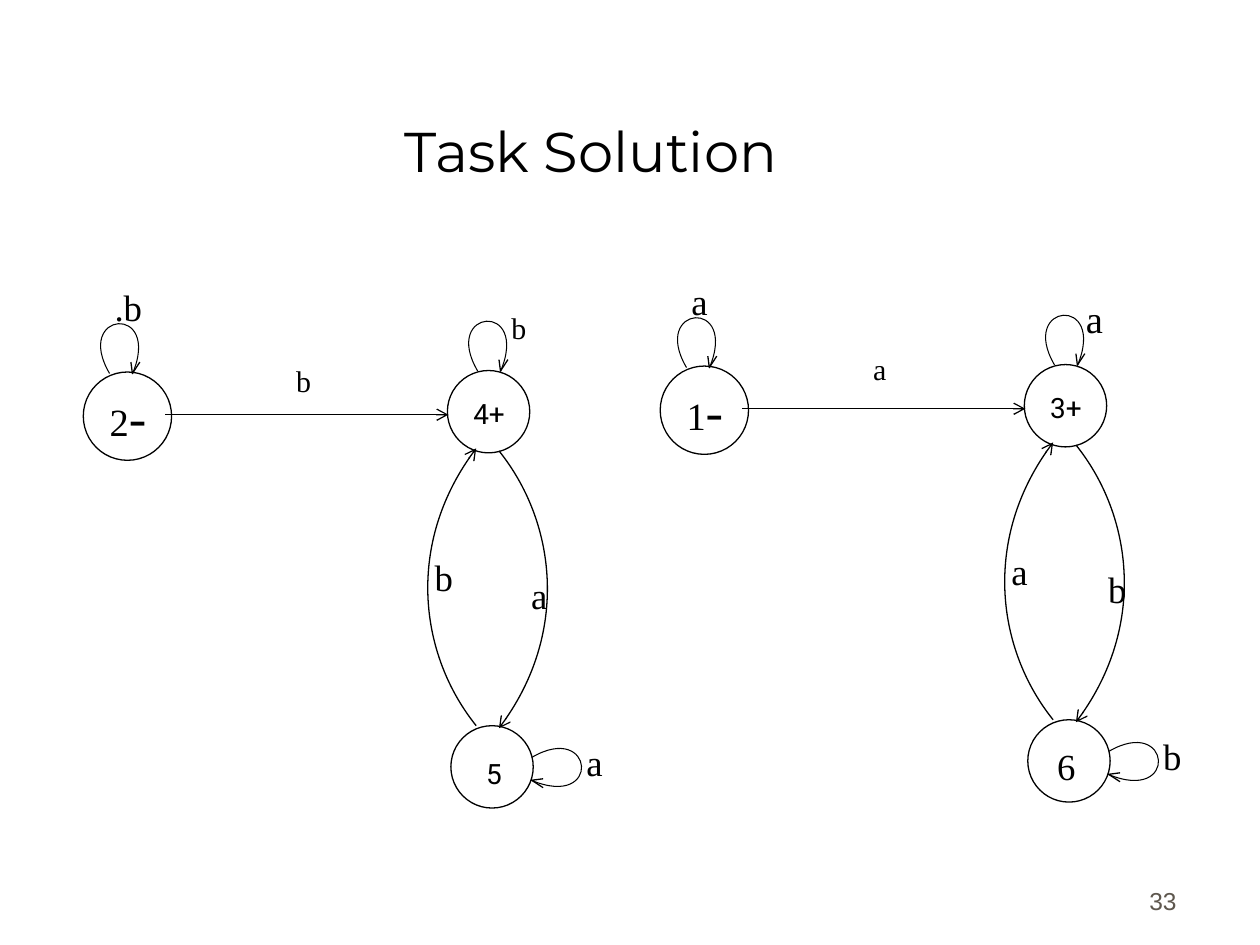
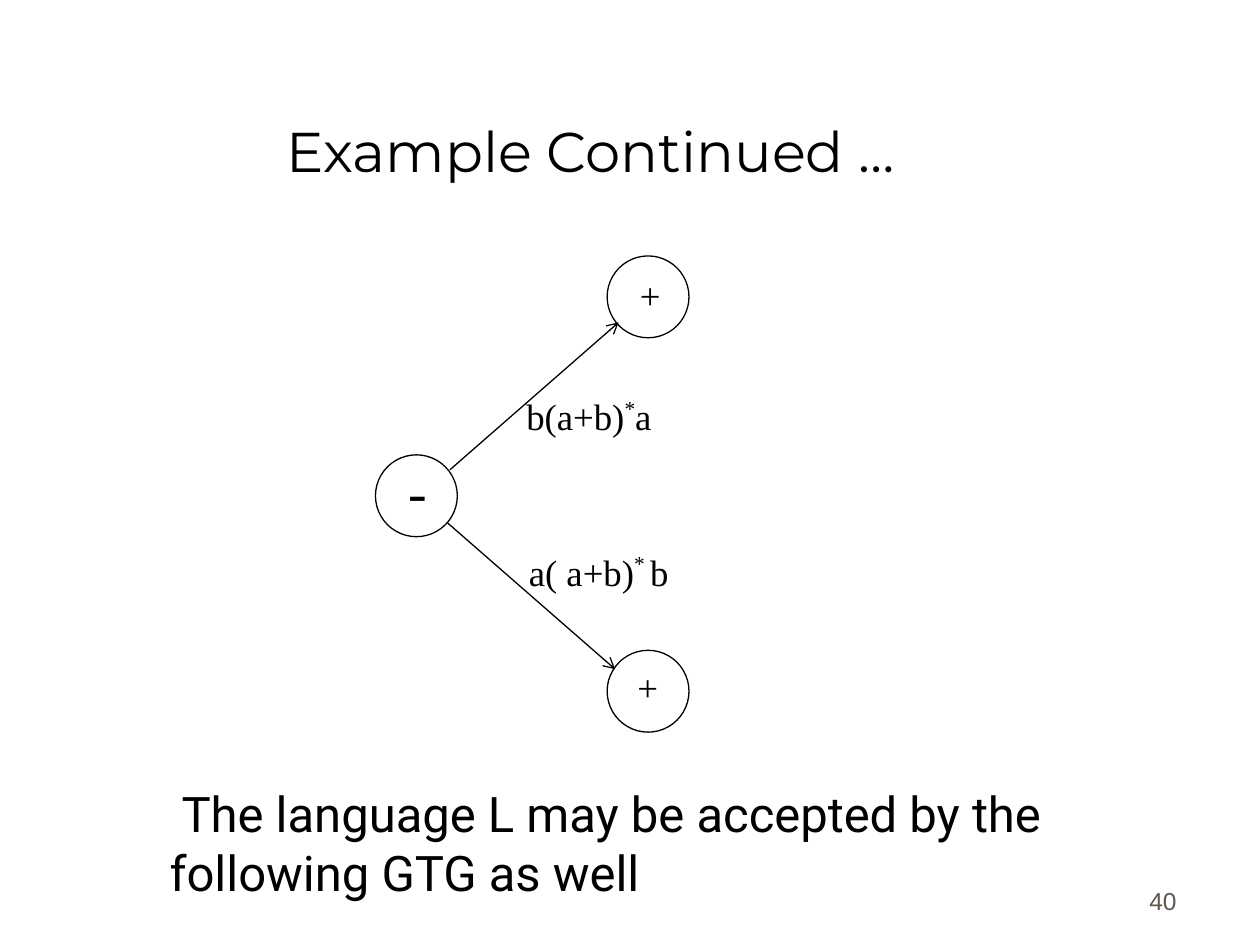
from lxml.etree import SubElement
from pptx import Presentation
from pptx.dml.color import RGBColor
from pptx.enum.shapes import MSO_CONNECTOR, MSO_SHAPE
from pptx.enum.text import MSO_ANCHOR as Anchor, PP_ALIGN as Align
from pptx.oxml.ns import qn
from pptx.util import Cm, Pt

BLACK, WHITE, GREY = "000000", "FFFFFF", "5E574E"
SERIF, SANS, TITLE_FONT, NUMBER_FONT = "Times New Roman", "Roboto", "Montserrat", "Arial"
TITLE_BOX = (1.12, 0.64, 21.59, 3.17)
NUMBER_BOX = (18.69, 17.3, 5.28, 1.27)
LABEL_SIZE = (1.78, 1.8)

STATES = [(1.68, 7.5, 1.78), (9.02, 7.47, 1.66), (9.09, 14.63, 1.66)]
LOOP = [(0, 0), (-0.74, -1.26), (1.06, -1.42), (0.46, 0.01)]
LOOP_HEAD = [(0.61, -0.23), (0.46, 0), (0.43, -0.23)]
TOP_LOOPS = [(2.21, 7.53), (9.63, 7.48)]
SIDE_LOOP = (10.72, 15.27)
ARC = [(0, 0), (1.14, 1.42), (1.42, 3.73), (0, 5.59)]
ARC_DOWN, ARC_UP = (10.06, 9.09), (9.6, 14.63)
EDGE = (3.33, 8.36, 9.04, 8.36)
LETTER_PLACES = [(2.06, 5.61), (8.51, 11.05), (10.46, 11.43), (11.57, 14.79)]
START_PLACE = (1.96, 7.62)
SANS_PLACES = [(8.69, 7.86), (8.79, 15.13)]

AUTOMATA = [
    {"origin": (0, 0), "start": "2", "letters": [".b", "b", "a", "a"],
     "sans": ["4+", "5"],
     "other": [("b", 5.72, 7.32, 17.1, 0.8), ("b", 10.06, 6.25, 17.1, 0.8)]},
    {"origin": (11.63, -0.12), "start": "1", "letters": ["a", "a", "b", "b"],
     "sans": ["3+"],
     "other": [("a", 5.72, 7.21, 17.1, 0.8), ("a", 10.01, 5.94, 22, 1),
               ("6", 9.43, 14.98, 21, 1)]},
]

GTG_STATES = [(7.57, 9.17), (12.24, 13.11), (12.24, 5.16)]
GTG_EDGES = [(9.07, 9.47, 12.47, 6.5), (9.02, 10.54, 12.4, 13.49)]
GTG_SIGNS = [("+", 12.65, 5.38, 21), ("-", 7.98, 9.07, 32), ("+", 12.6, 13.28, 21)]
GTG_LABELS = [(10.36, 7.82, ["b(a+b)", "*", "a"]),
              (10.41, 10.95, ["a( a+b)", "* ", "b"])]
CLOSING = "The language L may be accepted by the following GTG as well"
CLOSING_BOX = (3.17, 15.67, 19.48, 2.64)


def color(value):
    return RGBColor.from_string(value)


def shift(points, origin):
    return [(x + origin[0], y + origin[1]) for x, y in points]


def add_text(slide, box, runs, size=21, font=SERIF, ink=BLACK, align=Align.LEFT,
             anchor=Anchor.TOP):
    tf = slide.shapes.add_textbox(*map(Cm, box)).text_frame
    tf.word_wrap = True
    tf.vertical_anchor = anchor
    p = tf.paragraphs[0]
    p.alignment = align
    for text in runs:
        p.add_run().text = text
    p.font.size, p.font.name = Pt(size), font
    p.font.color.rgb = color(ink)
    return p


def add_slide(prs, title, number):
    slide = prs.slides.add_slide(prs.slide_layouts[6])
    add_text(slide, NUMBER_BOX, [number], 14, NUMBER_FONT, GREY, Align.RIGHT, Anchor.BOTTOM)
    add_text(slide, TITLE_BOX, [title], 32, TITLE_FONT, align=Align.CENTER,
             anchor=Anchor.BOTTOM)
    slide.shapes[-1].text_frame.margin_bottom = Cm(0.1)
    return slide


def set_line(sp, width=0.75, arrow=False):
    sp.line.color.rgb = color(BLACK)
    sp.line.width = Pt(width)
    if arrow:
        SubElement(sp.line._get_or_add_ln(), qn("a:tailEnd"), type="arrow")


def add_state(slide, x, y, size):
    sp = slide.shapes.add_shape(MSO_SHAPE.OVAL, Cm(x), Cm(y), Cm(size), Cm(size))
    sp.shadow.inherit = False
    sp.fill.solid()
    sp.fill.fore_color.rgb = color(WHITE)
    set_line(sp)


def add_edge(slide, edge):
    line = slide.shapes.add_connector(MSO_CONNECTOR.STRAIGHT, *map(Cm, edge))
    set_line(line, arrow=True)
    SubElement(line._element.spPr, qn("a:effectLst"))


def add_outline(slide, points, width=0.75, curved=False, arrow=False):
    start, *rest = [(Cm(x), Cm(y)) for x, y in points]
    builder = slide.shapes.build_freeform(*start)
    builder.add_line_segments(rest, close=False)
    sp = builder.convert_to_shape()
    sp.shadow.inherit = False
    sp.fill.background()
    set_line(sp, width, arrow)
    if curved:
        outline = sp._element.find(".//" + qn("a:path"))
        segments = outline.findall(qn("a:lnTo"))
        curve = SubElement(outline, qn("a:cubicBezTo"))
        for segment in segments:
            curve.append(segment[0])
            outline.remove(segment)


def add_loop(slide, origin, sideways=False):
    loop, head = LOOP, LOOP_HEAD
    if sideways:
        loop, head = ([(-y, x) for x, y in points] for points in (loop, head))
    add_outline(slide, shift(loop, origin), 0.6, curved=True)
    add_outline(slide, shift(head, origin))


def add_automaton(slide, automaton):
    dx, dy = automaton["origin"]

    def place(x, y):
        return x + dx, y + dy

    for x, y, size in STATES:
        add_state(slide, *place(x, y), size)
    for origin in TOP_LOOPS:
        add_loop(slide, place(*origin))
    add_loop(slide, place(*SIDE_LOOP), sideways=True)
    add_outline(slide, shift(ARC, place(*ARC_DOWN)), curved=True, arrow=True)
    mirrored = [(-x, -y) for x, y in ARC]
    add_outline(slide, shift(mirrored, place(*ARC_UP)), curved=True, arrow=True)
    add_edge(slide, place(*EDGE[:2]) + place(*EDGE[2:]))

    for text, spot in zip(automaton["letters"], LETTER_PLACES):
        add_text(slide, place(*spot) + LABEL_SIZE, [text])
    for text, spot in zip(automaton["sans"], SANS_PLACES):
        add_text(slide, place(*spot) + (2.34, 1.18), [text], 16, SANS, align=Align.CENTER)
    for text, x, y, size, spacing in automaton["other"]:
        p = add_text(slide, place(x, y) + (1.04, 1.02), [text], size)
        p.line_spacing = spacing
    p = add_text(slide, place(*START_PLACE) + (2.49, 1.7), [automaton["start"], "-"], 22)
    p.runs[1].font.size = Pt(30)


def add_gtg(slide):
    for x, y in GTG_STATES:
        add_state(slide, x, y, 1.65)
    for edge in GTG_EDGES:
        add_edge(slide, edge)
    for text, x, y, size in GTG_SIGNS:
        add_text(slide, (x, y, 2.49, 1.73), [text], size)
    for x, y, runs in GTG_LABELS:
        p = add_text(slide, (x, y, 5, 1.35), runs)
        p.runs[1].font._element.set("baseline", "40000")
    p = add_text(slide, CLOSING_BOX, [CLOSING], 28, SANS)
    p._p.get_or_add_pPr().set("indent", str(Cm(0.24)))


def main():
    prs = Presentation()
    prs.slide_width, prs.slide_height = Cm(25.4), Cm(19.05)
    solution = add_slide(prs, "Task Solution", "33")
    for automaton in AUTOMATA:
        add_automaton(solution, automaton)
    add_gtg(add_slide(prs, "Example Continued …", "40"))
    prs.save("out.pptx")


if __name__ == "__main__":
    main()
